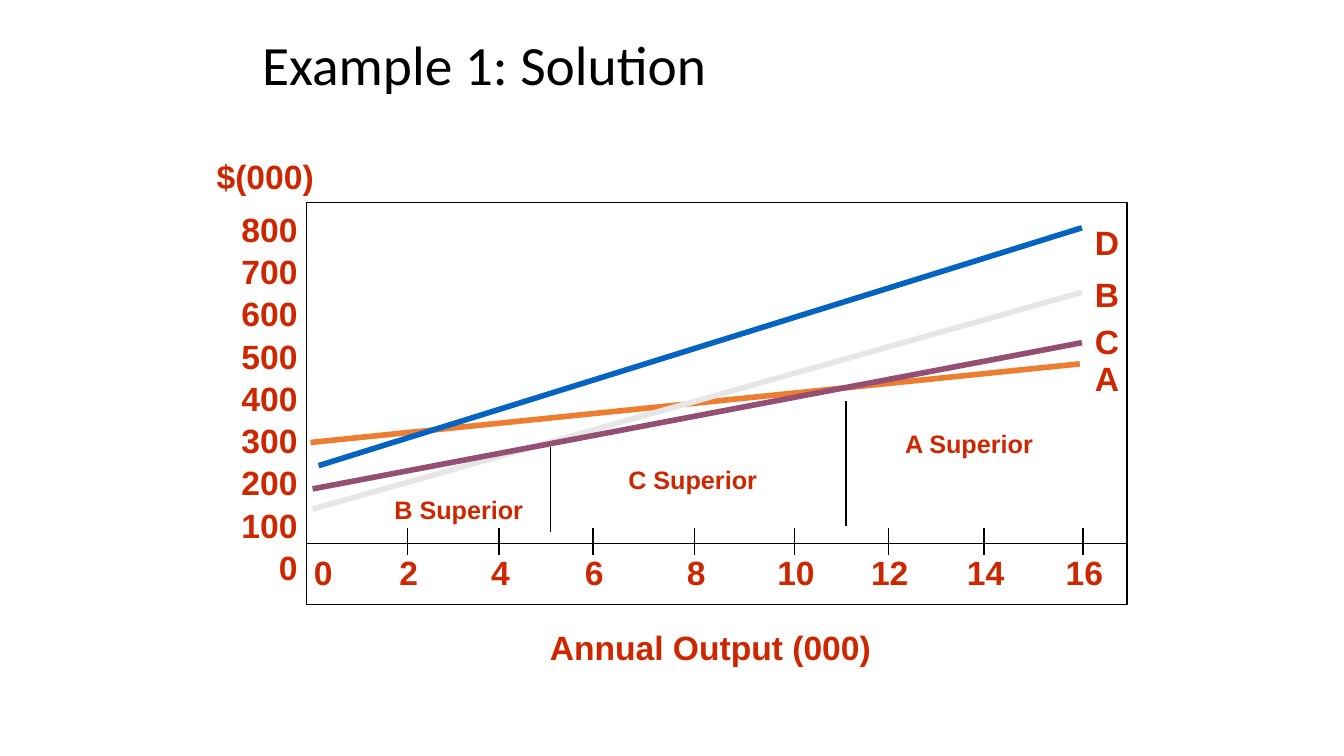
from dataclasses import dataclass

from lxml import etree
from pptx import Presentation
from pptx import util as u
from pptx.dml.color import RGBColor
from pptx.enum import shapes, text
from pptx.oxml.ns import qn


@dataclass(frozen=True)
class Theme:
    ink: str = "000000"
    paper: str = "FFFFFF"
    label: str = "CE2700"
    title_font: str = "Calibri"
    label_font: str = "Arial"
    title_size: float = 39.6
    label_size: float = 24
    note_size: float = 18
    thin: float = 1
    thick: float = 4


THEME = Theme()
TICKS = [(0, 0.15), (2, 1), (4, 1.91), (6, 2.84), (8, 3.85),
         (10, 4.84), (12, 5.77), (14, 6.72), (16, 7.7)]
COST_LINES = [
    ("A", "ED7D31", (0.04, 2.38), (7.67, 1.6), 1.49),
    ("B", "E7E6E6", (0.06, 3.04), (7.69, 0.89), 0.66),
    ("C", "954F72", (0.06, 2.84), (7.69, 1.39), 1.12),
    ("D", "0563C1", (0.12, 2.61), (7.69, 0.25), 0.14),
]
BOUNDARIES = [(2.42, 2.42, 3.27), (5.35, 1.97, 3.21)]
REGIONS = [("B Superior", 0.77, 2.84), ("C Superior", 3.09, 2.55),
           ("A Superior", 5.83, 2.19)]


def style(p, font, size, color, bold=False):
    p.font.name = font
    p.font.size = u.Pt(size)
    p.font.bold = bold
    p.font.color.rgb = RGBColor.from_string(color)


def add_label(s, lines, x, y, w, h, size=THEME.label_size,
              align=text.PP_ALIGN.CENTER, spacing=1.0):
    sp = s.shapes.add_textbox(*map(u.Inches, (x, y, w, h)))
    tf = sp.text_frame
    tf.word_wrap = False
    tf.text = "\n".join(lines)
    for p in tf.paragraphs:
        p.alignment = align
        p.line_spacing = spacing
        style(p, THEME.label_font, size, THEME.label, True)


def add_line(s, x1, y1, x2, y2, color=THEME.ink, width=THEME.thin):
    c = s.shapes.add_connector(shapes.MSO_CONNECTOR.STRAIGHT,
                               *map(u.Inches, (x1, y1, x2, y2)))
    c.line.color.rgb = RGBColor.from_string(color)
    c.line.width = u.Pt(width)
    etree.SubElement(c._element.spPr, qn("a:effectLst"))


def add_title(s, x, y, w, h):
    sp = s.shapes.title
    sp.left, sp.top, sp.width, sp.height = map(u.Inches, (x, y, w, h))
    tf = sp.text_frame
    tf.text = "Example 1: Solution"
    tf.vertical_anchor = text.MSO_ANCHOR.BOTTOM
    p = tf.paragraphs[0]
    p.alignment = text.PP_ALIGN.LEFT
    p.line_spacing = 0.9
    style(p, THEME.title_font, THEME.title_size, THEME.ink)


def add_axes(s, x, y, w, h):
    costs = [str(cost) for cost in range(800, -1, -100)]
    add_label(s, costs, x - 0.76, y - 0.01, 0.77, 3.73,
              align=text.PP_ALIGN.RIGHT, spacing=1.05)
    add_label(s, ["$(000)"], x - 1, y - 0.51, 1.18, 0.5)
    add_label(s, ["Annual Output (000)"], x + 2.3, y + h + 0.17, 3.41, 0.5)

    frame = s.shapes.add_shape(shapes.MSO_SHAPE.RECTANGLE,
                               *map(u.Inches, (x, y, w, h)))
    frame.shadow.inherit = False
    frame.fill.solid()
    frame.fill.fore_color.rgb = RGBColor.from_string(THEME.paper)
    frame.line.color.rgb = RGBColor.from_string(THEME.ink)
    frame.line.width = u.Pt(THEME.thin)

    axis = y + 3.38
    add_line(s, x, axis, x + w, axis)
    for output, dx in TICKS:
        if output:
            add_line(s, x + dx, axis - 0.15, x + dx, axis + 0.12)
        add_label(s, [str(output)], x + dx - 0.27, axis + 0.04, 0.57, 0.5)


def add_cost_lines(s, x, y, w):
    for name, color, (x1, y1), (x2, y2), label_y in COST_LINES:
        add_line(s, x + x1, y + y1, x + x2, y + y2, color, THEME.thick)
        add_label(s, [name], x + w - 0.42, y + label_y, 0.44, 0.5)


def add_regions(s, x, y):
    for dx, top, bottom in BOUNDARIES:
        add_line(s, x + dx, y + top, x + dx, y + bottom)
    for name, dx, dy in REGIONS:
        add_label(s, [name], x + dx, y + dy, 1.48, 0.4, THEME.note_size)


def main():
    prs = Presentation()
    prs.slide_width, prs.slide_height = u.Inches(13.33), u.Inches(7.5)
    s = prs.slides.add_slide(prs.slide_layouts[5])
    add_title(s, 2.5, 0.33, 8.5, 0.69)
    x, y, w, h = 3.04, 2.01, 8.14, 3.99
    add_axes(s, x, y, w, h)
    add_cost_lines(s, x, y, w)
    add_regions(s, x, y)
    prs.save("out.pptx")


if __name__ == "__main__":
    main()
